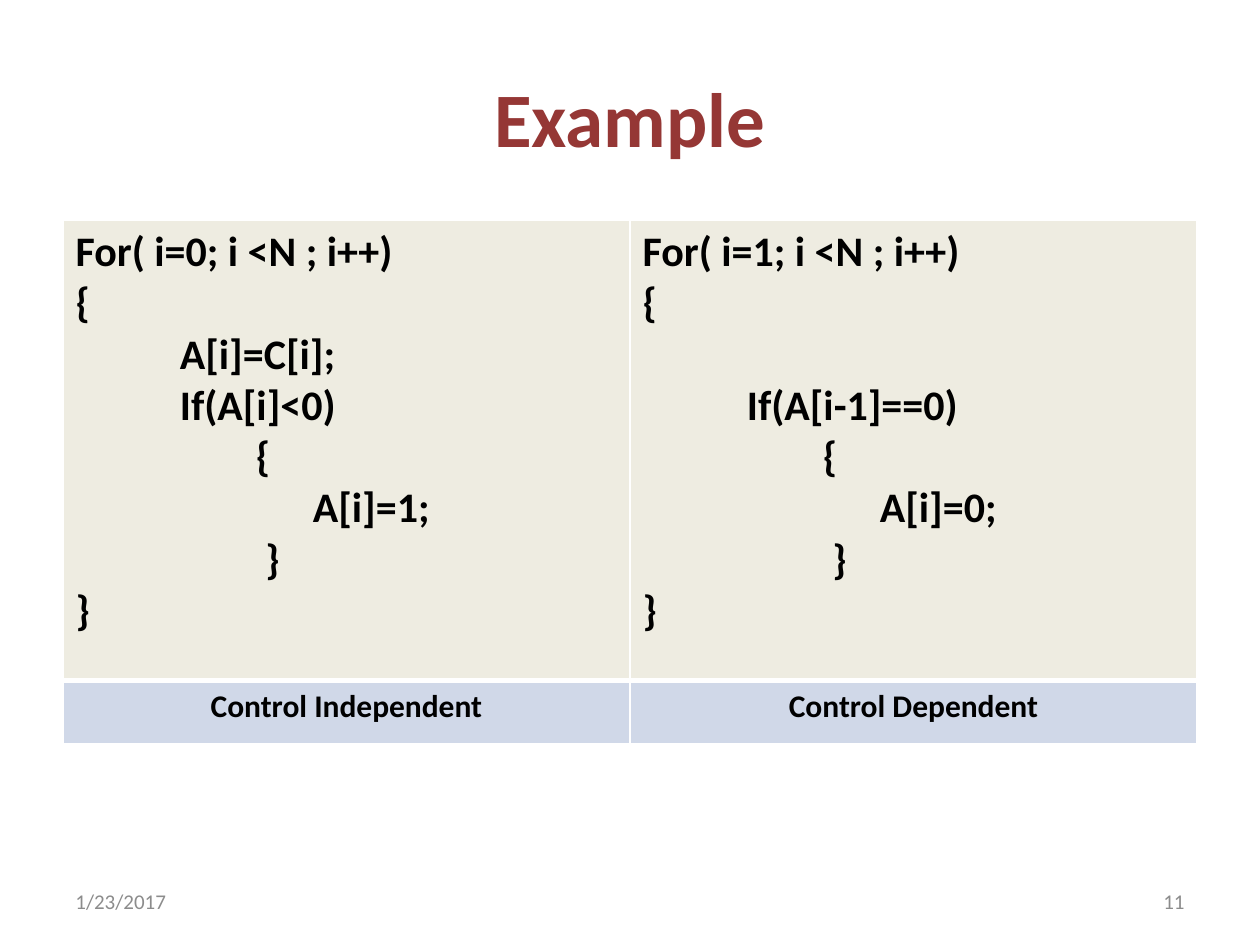
from lxml import etree
from pptx import Presentation
from pptx.dml.color import RGBColor
from pptx.enum.text import MSO_ANCHOR, PP_ALIGN
from pptx.oxml.ns import qn
from pptx.util import Pt

LEFT, CENTER, RIGHT = PP_ALIGN.LEFT, PP_ALIGN.CENTER, PP_ALIGN.RIGHT
MIDDLE = MSO_ANCHOR.MIDDLE
CODE_SIZE, LABEL_SIZE = 24, 18
CODE_LINE = 29.3
BODY_INDENT, OPEN_INDENT, CLOSE_INDENT, ASSIGN_INDENT = 59.6, 103, 108.5, 135.6


def color(value):
    return RGBColor.from_string(value)


class SlideBuilder:
    font = "Calibri"
    title_color = "953735"
    footer_color = "8C8C8C"
    text_color = "000000"
    border_color = "FFFFFF"
    code_fill = "EEECE1"
    label_fill = "D0D8E8"

    def __init__(self, slide):
        self.slide = slide

    def line(self, paragraph, words, size, ink, bold=False, align=LEFT, indent=0, before=0):
        paragraph.text = words
        paragraph.alignment = align
        paragraph.space_before = Pt(before)
        paragraph.font.name = self.font
        paragraph.font.size = Pt(size)
        paragraph.font.bold = bold
        paragraph.font.color.rgb = color(ink)
        if indent:
            paragraph._p.get_or_add_pPr().set("marL", str(Pt(indent)))

    def text(self, words, left, top, width, height, size, ink, bold=False, align=LEFT):
        frame = self.slide.shapes.add_textbox(Pt(left), Pt(top), Pt(width), Pt(height)).text_frame
        frame.word_wrap = True
        frame.vertical_anchor = MIDDLE
        self.line(frame.paragraphs[0], words, size, ink, bold, align)

    def borders(self, cell, top, bottom):
        properties = cell._tc.get_or_add_tcPr()
        sides = (("a:lnL", 1), ("a:lnR", 1), ("a:lnT", top), ("a:lnB", bottom))
        for position, (side, width) in enumerate(sides):
            edge = etree.Element(qn(side), w=str(Pt(width)))
            fill = etree.SubElement(edge, qn("a:solidFill"))
            etree.SubElement(fill, qn("a:srgbClr"), val=self.border_color)
            properties.insert(position, edge)

    def cell(self, cell, lines, size, fill, align=LEFT, top=1, bottom=1):
        cell.fill.solid()
        cell.fill.fore_color.rgb = color(fill)
        self.borders(cell, top, bottom)
        frame = cell.text_frame
        for number, (words, indent, before) in enumerate(lines):
            paragraph = frame.add_paragraph() if number else frame.paragraphs[0]
            self.line(paragraph, words, size, self.text_color, True, align, indent, before)

    def comparison(self, examples, left, top, width, heights):
        table = self.slide.shapes.add_table(
            len(heights), len(examples), Pt(left), Pt(top), Pt(width), Pt(sum(heights))
        ).table
        for row, height in zip(table.rows, heights):
            row.height = Pt(height)
        for column, (code, label) in enumerate(examples):
            self.cell(table.cell(0, column), code, CODE_SIZE, self.code_fill, bottom=3)
            self.cell(table.cell(1, column), [(label, 0, 0)], LABEL_SIZE, self.label_fill, CENTER, top=3)


def loop_code(start, condition, assignment, first_statement=None):
    lines = [(f"For( i={start}; i <N ; i++)", 0, 0), ("{", 0, 0)]
    if first_statement:
        lines.append((first_statement, BODY_INDENT, 0))
    return lines + [
        (f"If({condition})", BODY_INDENT, 0 if first_statement else CODE_LINE),
        ("{", OPEN_INDENT, 0),
        (assignment, ASSIGN_INDENT, 0),
        ("}", CLOSE_INDENT, 0),
        ("}", 0, 0),
    ]


def main():
    deck = Presentation()
    deck.slide_width, deck.slide_height = Pt(720), Pt(540)
    builder = SlideBuilder(deck.slides.add_slide(deck.slide_layouts[6]))

    builder.text("Example", 36, 21.6, 648, 90, 44, builder.title_color, True, CENTER)
    examples = [
        (loop_code(0, "A[i]<0", "A[i]=1;", "A[i]=C[i];"), "Control Independent"),
        (loop_code(1, "A[i-1]==0", "A[i]=0;"), "Control Dependent"),
    ]
    builder.comparison(examples, 36, 126, 648, (263, 36))
    for words, left, align in (("1/23/2017", 36, LEFT), ("11", 516, RIGHT)):
        builder.text(words, left, 500.5, 168, 28.8, 12, builder.footer_color, align=align)

    deck.save("out.pptx")


if __name__ == "__main__":
    main()
